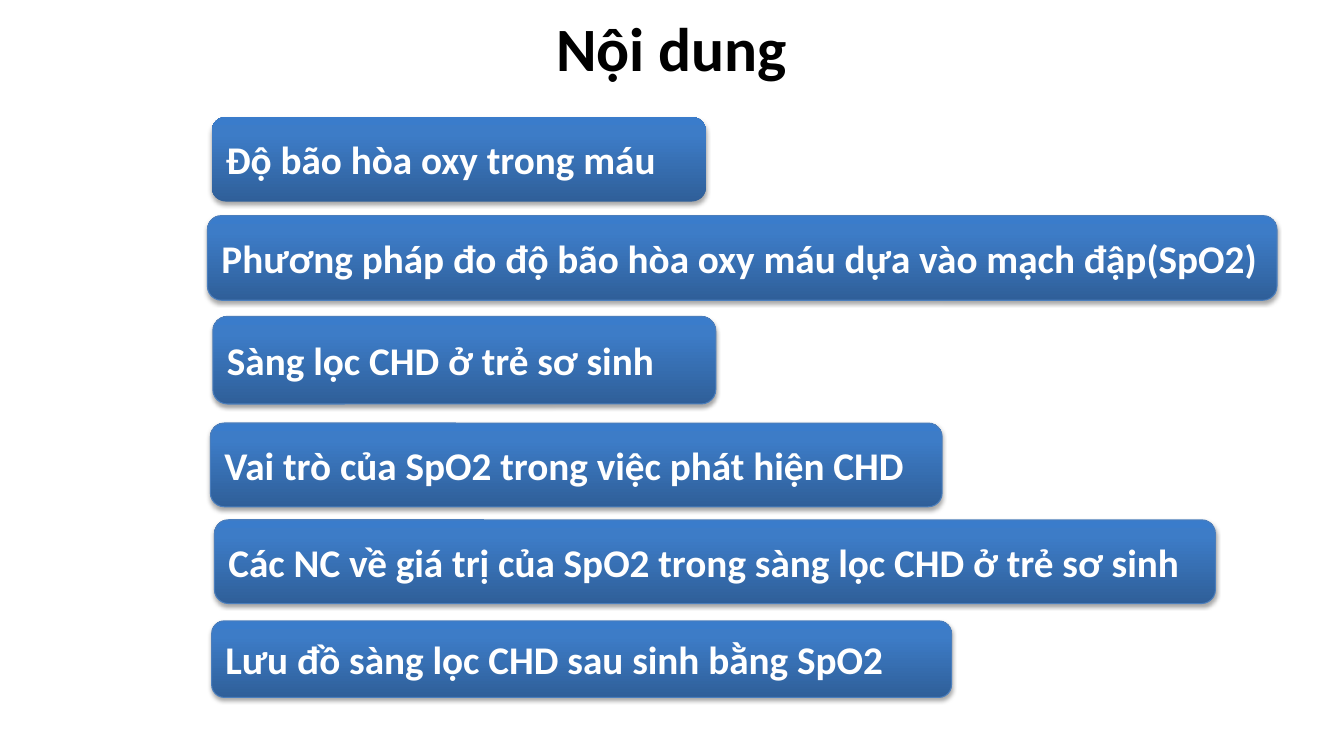
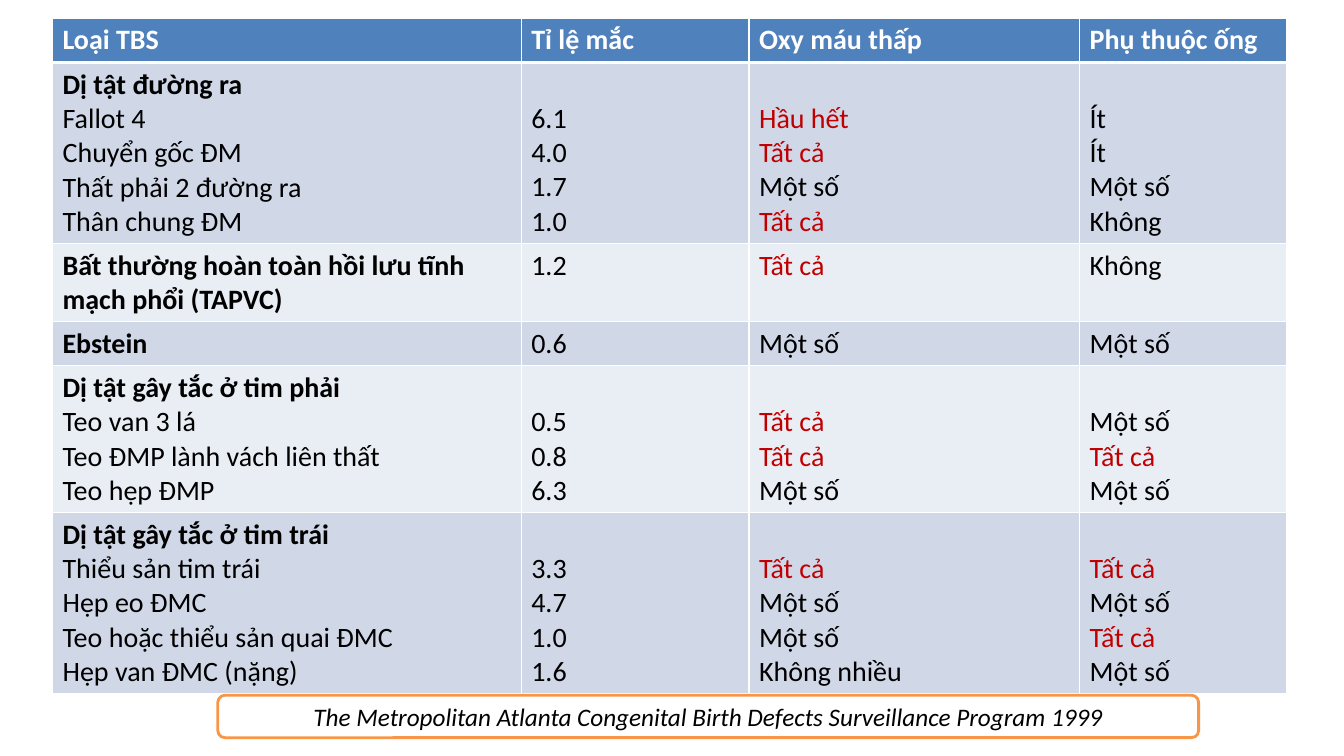
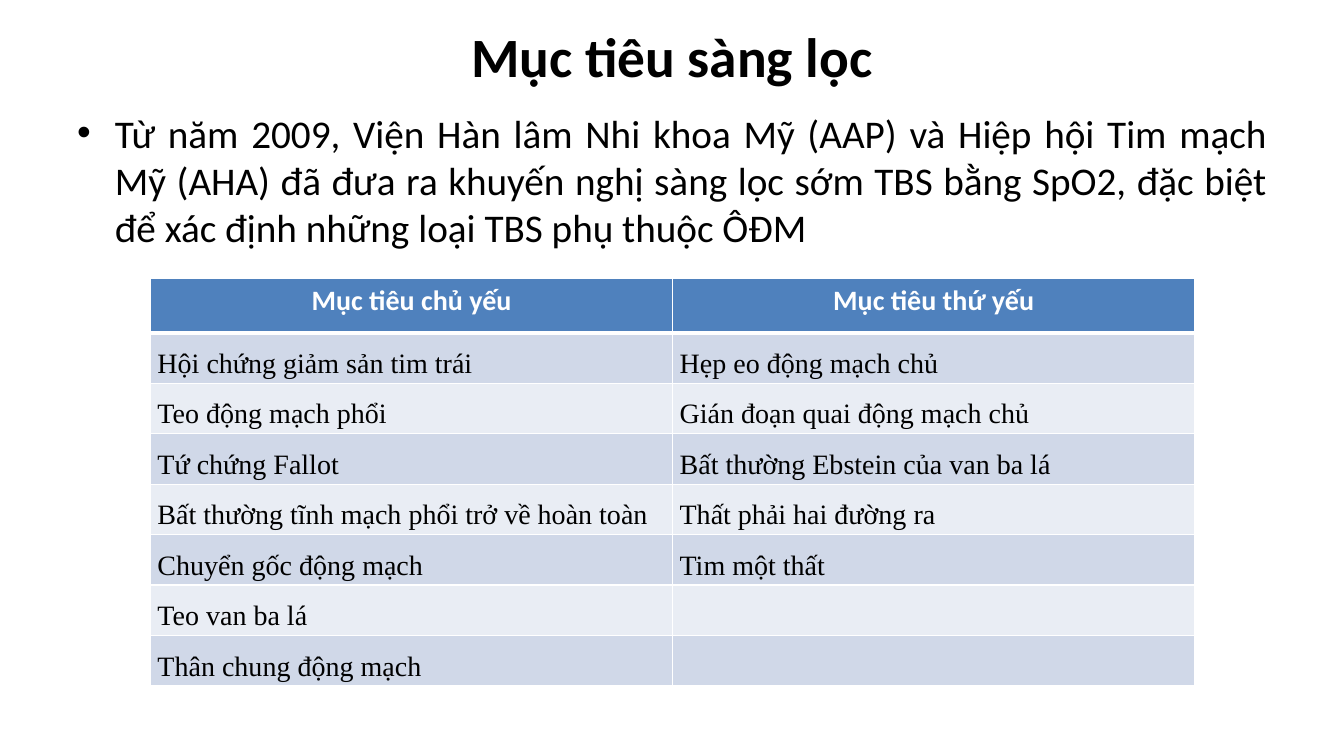
from dataclasses import dataclass
from typing import Sequence

from lxml.etree import SubElement
from pptx import Presentation
from pptx.dml.color import RGBColor
from pptx.enum.shapes import MSO_SHAPE
from pptx.enum.text import MSO_ANCHOR, PP_ALIGN
from pptx.oxml.ns import qn
from pptx.util import Pt

BLACK = RGBColor(0x00, 0x00, 0x00)
WHITE = RGBColor(0xFF, 0xFF, 0xFF)
RED = RGBColor(0xC0, 0x00, 0x00)
ORANGE = RGBColor(0xF7, 0x96, 0x46)
HEADER_BLUE = RGBColor(0x4F, 0x81, 0xBD)
BANDS = (RGBColor(0xD0, 0xD8, 0xE8), RGBColor(0xE9, 0xED, 0xF4))
BAR_LINE = RGBColor(0x4B, 0x7E, 0xBC)
BAR_STOPS = (
    (0, RGBColor(0x2F, 0x5F, 0x99)),
    (80, RGBColor(0x3D, 0x7C, 0xC7)),
    (100, RGBColor(0x3A, 0x7C, 0xCB)),
)
SANS = "Calibri"
SERIF = "Times New Roman"
TABLE_SIZE = 20
LINE_HEIGHT = 24.4
CELL_INSET = 3.6
SIDE_MARGIN = 48
CONTENT_WIDTH = 864


@dataclass(frozen=True)
class TopicBar:
    text: str
    left: float
    top: float
    width: float
    height: float
    outlined: bool = True


@dataclass(frozen=True)
class Lesion:
    name: str
    rate: str
    hypoxemia: str
    duct_dependent: str


@dataclass(frozen=True)
class LesionGroup:
    """A table row; a lesion without a name sits on the heading's own line."""
    heading: str
    lesions: Sequence[Lesion]
    heading_lines: int = 1


TOPICS = (
    TopicBar("Độ bão hòa oxy trong máu", 151.2, 83.5, 353, 60.5, outlined=False),
    TopicBar("Phương pháp đo độ bão hòa oxy máu dựa vào mạch đập(SpO2)",
             148.2, 154, 764, 60.5),
    TopicBar("Sàng lọc CHD ở trẻ sơ sinh", 152, 226, 359.3, 62.6),
    TopicBar("Vai trò của SpO2 trong việc phát hiện CHD", 150.3, 302.2, 522.7, 59.8),
    TopicBar("Các NC về giá trị của SpO2 trong sàng lọc CHD ở trẻ sơ sinh",
             153.2, 371.3, 715, 59.8),
    TopicBar("Lưu đồ sàng lọc CHD sau sinh bằng SpO2", 151.2, 443.5, 528.5, 54.7),
)

LESION_HEADERS = ("Loại TBS", "Tỉ lệ mắc", "Oxy máu thấp", "Phụ thuộc ống")
LESION_GROUPS = (
    LesionGroup("Dị tật đường ra", (
        Lesion("Fallot 4", "6.1", "Hầu hết", "Ít"),
        Lesion("Chuyển gốc ĐM", "4.0", "Tất cả", "Ít"),
        Lesion("Thất phải 2 đường ra", "1.7", "Một số", "Một số"),
        Lesion("Thân chung ĐM", "1.0", "Tất cả", "Không"),
    )),
    LesionGroup("Bất thường hoàn toàn hồi lưu tĩnh mạch phổi (TAPVC)",
                (Lesion("", "1.2", "Tất cả", "Không"),), heading_lines=2),
    LesionGroup("Ebstein", (Lesion("", "0.6", "Một số", "Một số"),)),
    LesionGroup("Dị tật gây tắc ở tim phải", (
        Lesion("Teo van 3 lá", "0.5", "Tất cả", "Một số"),
        Lesion("Teo ĐMP lành vách liên thất", "0.8", "Tất cả", "Tất cả"),
        Lesion("Teo hẹp ĐMP", "6.3", "Một số", "Một số"),
    )),
    LesionGroup("Dị tật gây tắc ở tim trái", (
        Lesion("Thiểu sản tim trái", "3.3", "Tất cả", "Tất cả"),
        Lesion("Hẹp eo ĐMC", "4.7", "Một số", "Một số"),
        Lesion("Teo hoặc thiểu sản quai ĐMC", "1.0", "Một số", "Tất cả"),
        Lesion("Hẹp van ĐMC (nặng)", "1.6", "Không nhiều", "Một số"),
    )),
)
HIGH_RISK = ("Tất cả", "Hầu hết")

TARGET_HEADERS = ("Mục tiêu chủ yếu", "Mục tiêu thứ yếu")
TARGETS = (
    ("Hội chứng giảm sản tim trái", "Hẹp eo động mạch chủ"),
    ("Teo động mạch phổi", "Gián đoạn quai động mạch chủ"),
    ("Tứ chứng Fallot", "Bất thường Ebstein của van ba lá"),
    ("Bất thường tĩnh mạch phổi trở về hoàn toàn", "Thất phải hai đường ra"),
    ("Chuyển gốc động mạch", "Tim một thất"),
    ("Teo van ba lá", ""),
    ("Thân chung động mạch", ""),
)


def format_text(para, size: float, color=BLACK, bold=False, italic=False,
                name=SANS, align=PP_ALIGN.LEFT) -> None:
    para.alignment = align
    for span in para.runs:
        font = span.font
        font.size, font.name = Pt(size), name
        font.bold, font.italic = bold, italic
        font.color.rgb = color


def add_text_box(slide, text: str, top: float, height: float, anchor):
    box = slide.shapes.add_textbox(
        Pt(SIDE_MARGIN), Pt(top), Pt(CONTENT_WIDTH), Pt(height))
    frame = box.text_frame
    frame.word_wrap = True
    frame.vertical_anchor = anchor
    frame.text = text
    return frame.paragraphs[0]


def add_title(slide, text: str, top: float, height: float, size: float) -> None:
    para = add_text_box(slide, text, top, height, MSO_ANCHOR.MIDDLE)
    format_text(para, size, bold=True, align=PP_ALIGN.CENTER)


def add_rounded_box(slide, text: str, left: float, top: float,
                    width: float, height: float):
    box = slide.shapes.add_shape(
        MSO_SHAPE.ROUNDED_RECTANGLE, Pt(left), Pt(top), Pt(width), Pt(height))
    box.shadow.inherit = False
    frame = box.text_frame
    frame.word_wrap = True
    frame.vertical_anchor = MSO_ANCHOR.MIDDLE
    frame.text = text
    return box


def add_color(parent, color: RGBColor):
    return SubElement(parent, qn("a:srgbClr"), val=str(color))


def apply_bar_gradient(box) -> None:
    box.fill.gradient()
    box.fill.gradient_angle = 90
    stops = box._element.spPr.find(qn("a:gradFill")).find(qn("a:gsLst"))
    for stop in list(stops):
        stops.remove(stop)
    for percent, color in BAR_STOPS:
        add_color(SubElement(stops, qn("a:gs"), pos=str(percent * 1000)), color)


def apply_bar_shadow(box) -> None:
    effects = box._element.spPr.find(qn("a:effectLst"))
    shadow = SubElement(
        effects, qn("a:outerShdw"), blurRad=str(Pt(3.1)), dist=str(Pt(1.8)),
        dir="5400000", rotWithShape="0")
    SubElement(add_color(shadow, BLACK), qn("a:alpha"), val="35000")


def add_topic_bar(slide, bar: TopicBar) -> None:
    box = add_rounded_box(slide, bar.text, bar.left, bar.top, bar.width, bar.height)
    apply_bar_gradient(box)
    if bar.outlined:
        box.line.color.rgb = BAR_LINE
        box.line.width = Pt(0.75)
    else:
        box.line.fill.background()
    apply_bar_shadow(box)
    format_text(box.text_frame.paragraphs[0], 28, WHITE, bold=True)


def paint_cell(cell, color: RGBColor, bottom_width: float = 1) -> None:
    """Give the cell white borders and a solid fill."""
    properties = cell._tc.get_or_add_tcPr()
    for side, width in (("L", 1), ("R", 1), ("T", 1), ("B", bottom_width)):
        border = SubElement(properties, qn(f"a:ln{side}"), w=str(Pt(width)))
        add_color(SubElement(border, qn("a:solidFill")), WHITE)
    cell.fill.solid()
    cell.fill.fore_color.rgb = color


def add_banded_table(slide, left: float, top: float, widths: Sequence[float],
                     heights: Sequence[float], headers: Sequence[str],
                     header_align=PP_ALIGN.LEFT):
    table = slide.shapes.add_table(
        len(heights), len(widths), Pt(left), Pt(top),
        Pt(sum(widths)), Pt(sum(heights))).table
    table.first_row = table.horz_banding = False
    for column, width in zip(table.columns, widths):
        column.width = Pt(width)
    for index, (row, height) in enumerate(zip(table.rows, heights)):
        row.height = Pt(height)
        for cell in row.cells:
            if index == 0:
                paint_cell(cell, HEADER_BLUE, bottom_width=3)
            else:
                paint_cell(cell, BANDS[(index - 1) % 2])
    for cell, text in zip(table.rows[0].cells, headers):
        cell.text_frame.text = text
        format_text(cell.text_frame.paragraphs[0], TABLE_SIZE, WHITE,
                    bold=True, align=header_align)
    return table


def fill_lesion_row(cells, group: LesionGroup) -> None:
    names = [lesion.name for lesion in group.lesions if lesion.name]
    columns = (
        [group.heading, *names],
        [lesion.rate for lesion in group.lesions],
        [lesion.hypoxemia for lesion in group.lesions],
        [lesion.duct_dependent for lesion in group.lesions],
    )
    for index, (cell, lines) in enumerate(zip(cells, columns)):
        cell.text_frame.text = "\n".join(lines)
        if index > 0 and names:
            cell.margin_top = Pt(CELL_INSET + LINE_HEIGHT)
        for number, para in enumerate(cell.text_frame.paragraphs):
            format_text(para, TABLE_SIZE, RED if para.text in HIGH_RISK else BLACK,
                        bold=index == 0 and number == 0)


def row_height(group: LesionGroup) -> float:
    lines = group.heading_lines + sum(bool(lesion.name) for lesion in group.lesions)
    return lines * LINE_HEIGHT + 2 * CELL_INSET


def build_contents(slide) -> None:
    add_title(slide, "Nội dung", 0, 67.5, 44)
    for bar in TOPICS:
        add_topic_bar(slide, bar)


def build_lesions(slide) -> None:
    heights = [LINE_HEIGHT + 2 * CELL_INSET, *map(row_height, LESION_GROUPS)]
    table = add_banded_table(slide, 37.5, 13, (334.8, 162.7, 236.2, 147.6),
                             heights, LESION_HEADERS)
    for index, group in enumerate(LESION_GROUPS, start=1):
        fill_lesion_row(table.rows[index].cells, group)
    source = add_rounded_box(
        slide,
        "The Metropolitan Atlanta Congenital Birth Defects Surveillance Program 1999",
        155.6, 496.6, 700.6, 30.3)
    source.fill.solid()
    source.fill.fore_color.rgb = WHITE
    source.line.color.rgb = ORANGE
    source.line.width = Pt(2)
    format_text(source.text_frame.paragraphs[0], 18, italic=True,
                align=PP_ALIGN.CENTER)


def build_targets(slide) -> None:
    add_title(slide, "Mục tiêu sàng lọc", 13.5, 52.5, 39.6)
    para = add_text_box(
        slide,
        "Từ năm 2009, Viện Hàn lâm Nhi khoa Mỹ (AAP) và Hiệp hội Tim mạch Mỹ (AHA) "
        "đã đưa ra khuyến nghị sàng lọc sớm TBS bằng SpO2, đặc biệt để xác định "
        "những loại TBS phụ thuộc ÔĐM", 74.2, 115, MSO_ANCHOR.TOP)
    properties = para._p.get_or_add_pPr()
    properties.set("marL", str(Pt(27)))
    properties.set("indent", str(Pt(-27)))
    SubElement(properties, qn("a:buFont"), typeface="Arial")
    SubElement(properties, qn("a:buChar"), char="•")
    format_text(para, 28, align=PP_ALIGN.JUSTIFY)

    heights = [38.8] + [34.5] * len(TARGETS)
    table = add_banded_table(slide, 107.5, 199, (373, 373), heights,
                             TARGET_HEADERS, PP_ALIGN.CENTER)
    for index, texts in enumerate(TARGETS, start=1):
        for cell, text in zip(table.rows[index].cells, texts):
            if not text:
                continue
            cell.margin_left = cell.margin_right = Pt(5)
            cell.margin_top = cell.margin_bottom = Pt(0)
            cell.text_frame.text = text
            para = cell.text_frame.paragraphs[0]
            para.line_spacing = 1.5
            format_text(para, TABLE_SIZE, name=SERIF, align=PP_ALIGN.JUSTIFY)


def main() -> None:
    deck = Presentation()
    deck.slide_width, deck.slide_height = Pt(960), Pt(540)
    blank = deck.slide_layouts[6]
    for build in (build_contents, build_lesions, build_targets):
        build(deck.slides.add_slide(blank))
    deck.save("out.pptx")


if __name__ == "__main__":
    main()
